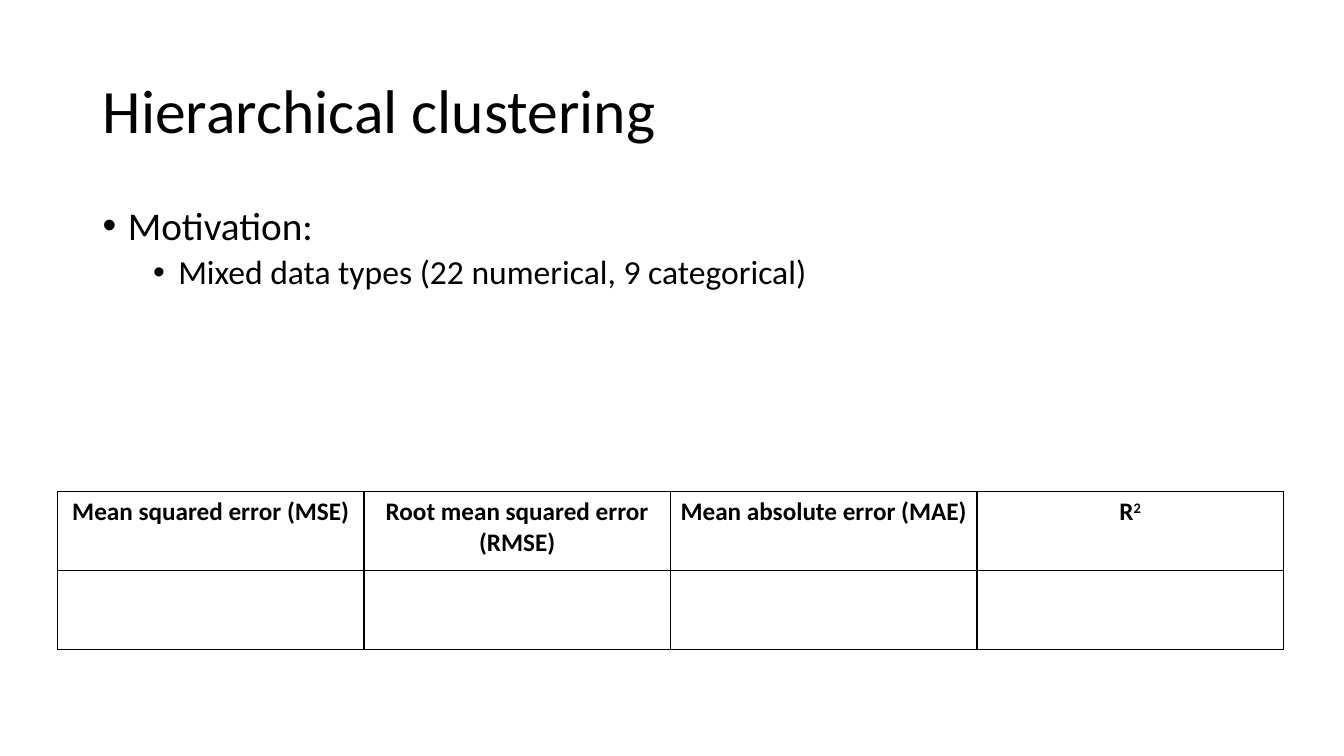
"""Build the hierarchical clustering slide with its motivation and error table."""
from lxml.etree import SubElement
from pptx import Presentation
from pptx.dml.color import RGBColor
from pptx.enum.text import MSO_ANCHOR, PP_ALIGN
from pptx.oxml.ns import qn
from pptx.util import Inches, Pt

BLACK = RGBColor(0, 0, 0)
FONT = "Calibri"

TITLE = "Hierarchical clustering"
MOTIVATION = [
    {"words": "Motivation:", "level": 0, "size": 28, "before": 10, "margin": 0.25},
    {"words": "Mixed data types (22 numerical, 9 categorical)",
     "level": 1, "size": 24, "before": 5, "margin": 0.75},
]
HANGING = -0.25
METRICS = [
    [("Mean squared error (MSE)", 0)],
    [("Root mean squared error (RMSE)", 0)],
    [("Mean absolute error (MAE)", 0)],
    [("R", 0), ("2", 30000)],
]
TABLE_LEFT, TABLE_TOP = 0.57, 4.88
COLUMN_WIDTH, ROW_HEIGHT, ROW_COUNT = 3.04, 0.78, 2
BORDER_SIDES = ("a:lnL", "a:lnR", "a:lnT", "a:lnB")


def apply(target, values):
    for name, value in values.items():
        setattr(target, name, value)


def add_words(paragraph, words, size, bold=False):
    run = paragraph.add_run()
    run.text = words
    apply(run.font, {"name": FONT, "size": Pt(size), "bold": bold})
    run.font.color.rgb = BLACK
    return run


def add_bullet(paragraph, margin):
    properties = paragraph._p.get_or_add_pPr()
    properties.set("marL", str(Inches(margin)))
    properties.set("indent", str(Inches(HANGING)))
    SubElement(properties, qn("a:buFont"), typeface="Arial")
    SubElement(properties, qn("a:buChar"), char="•")


def add_borders(cell):
    properties = cell._tc.get_or_add_tcPr()
    for position, side in enumerate(BORDER_SIDES):
        border = properties.makeelement(qn(side), {"w": str(Pt(1))})
        properties.insert(position, border)
        fill = SubElement(border, qn("a:solidFill"))
        SubElement(fill, qn("a:srgbClr"), val=str(BLACK))


def add_title(slide):
    title = slide.shapes.title
    apply(title, {"left": Inches(0.92), "top": Inches(0.4),
                  "width": Inches(11.5), "height": Inches(1.45)})
    title.text_frame.vertical_anchor = MSO_ANCHOR.MIDDLE
    heading = title.text_frame.paragraphs[0]
    apply(heading, {"alignment": PP_ALIGN.LEFT, "line_spacing": 0.9})
    add_words(heading, TITLE, 44)


def add_motivation(slide):
    body = slide.shapes.add_textbox(
        Inches(0.92), Inches(2), Inches(11.5), Inches(4.76)).text_frame
    body.word_wrap = True
    for position, point in enumerate(MOTIVATION):
        paragraph = body.add_paragraph() if position else body.paragraphs[0]
        apply(paragraph, {"level": point["level"], "line_spacing": 0.9,
                          "space_before": Pt(point["before"])})
        add_bullet(paragraph, point["margin"])
        add_words(paragraph, point["words"], point["size"])


def add_metrics(slide):
    metrics = slide.shapes.add_table(
        ROW_COUNT, len(METRICS), Inches(TABLE_LEFT), Inches(TABLE_TOP),
        Inches(COLUMN_WIDTH * len(METRICS)), Inches(ROW_HEIGHT * ROW_COUNT)).table
    apply(metrics, {"first_row": False, "horz_banding": False})
    for column in metrics.columns:
        column.width = Inches(COLUMN_WIDTH)
    for row in metrics.rows:
        row.height = Inches(ROW_HEIGHT)
    for cell in metrics.iter_cells():
        cell.fill.background()
        add_borders(cell)
    for column, pieces in enumerate(METRICS):
        header = metrics.cell(0, column).text_frame.paragraphs[0]
        header.alignment = PP_ALIGN.CENTER
        for words, baseline in pieces:
            run = add_words(header, words, 18, bold=True)
            if baseline:
                run._r.get_or_add_rPr().set("baseline", str(baseline))


def main():
    deck = Presentation()
    apply(deck, {"slide_width": Inches(13.33), "slide_height": Inches(7.5)})
    slide = deck.slides.add_slide(deck.slide_layouts[5])
    add_title(slide)
    add_motivation(slide)
    add_metrics(slide)
    deck.save("out.pptx")


if __name__ == "__main__":
    main()
